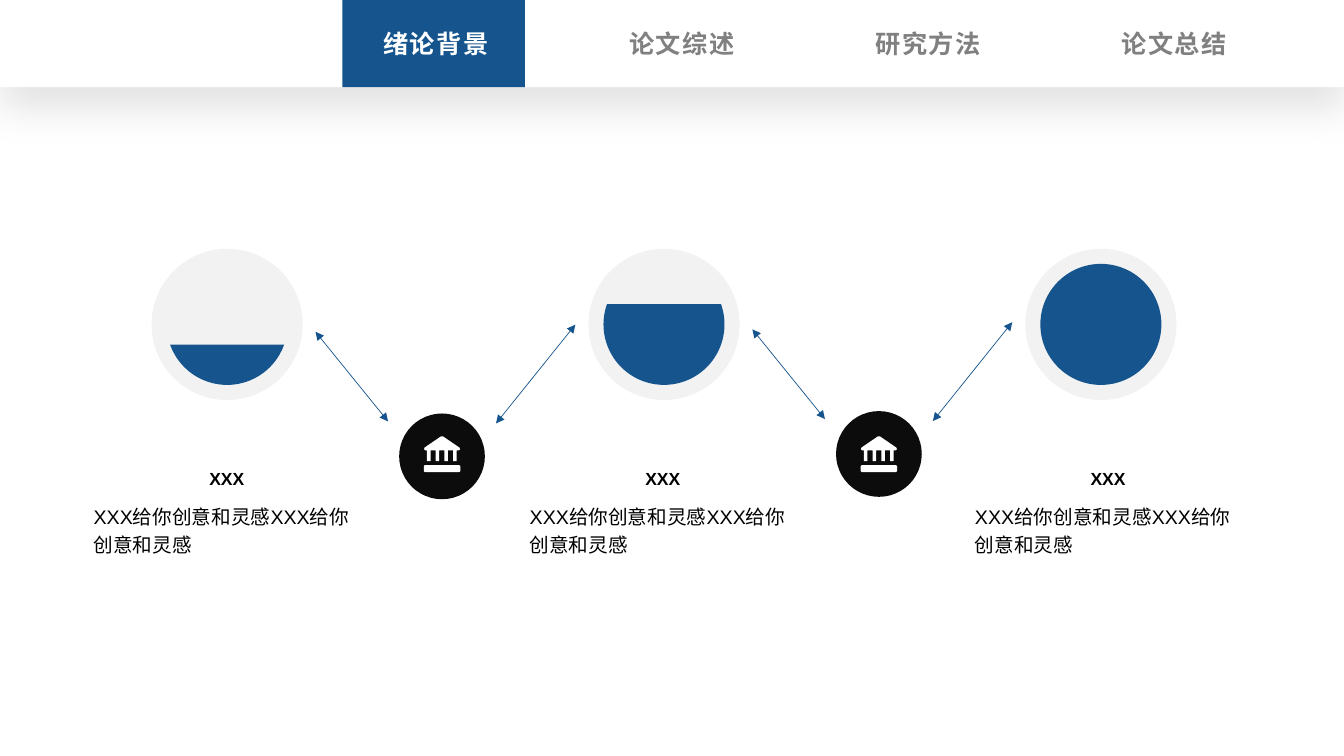
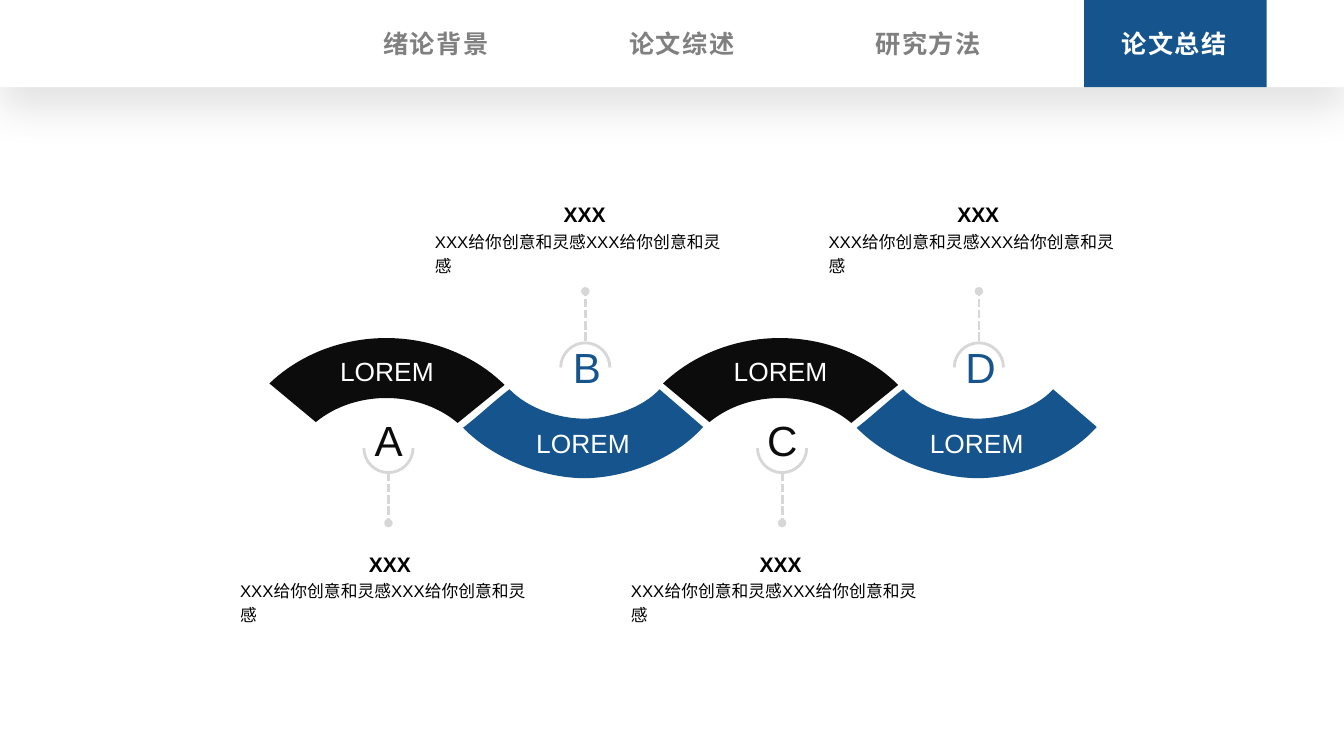
from math import asin, degrees

from lxml.etree import SubElement
from pptx import Presentation
from pptx.dml.color import RGBColor
from pptx.enum.dml import MSO_LINE
from pptx.enum.shapes import MSO_CONNECTOR, MSO_SHAPE
from pptx.enum.text import MSO_ANCHOR, MSO_AUTO_SIZE, PP_ALIGN
from pptx.oxml.ns import qn
from pptx.util import Cm, Pt

BLUE = RGBColor(0x15, 0x54, 0x8D)
INK = RGBColor(0x0C, 0x0C, 0x0C)
BLACK = RGBColor(0, 0, 0)
WHITE = RGBColor(0xFF, 0xFF, 0xFF)
PALE = RGBColor(0xF2, 0xF2, 0xF2)
SILVER = RGBColor(0xD7, 0xD7, 0xD7)
GREY = RGBColor(0x80, 0x80, 0x80)

FONT = "Arial"
WIDTH, HEIGHT, BAR_HEIGHT = 33.87, 19.05, 2.2
SECTIONS = ["绪论背景", "论文综述", "研究方法", "论文总结"]
HEADING = "XXX"
BODY = "XXX给你创意和灵感XXX给你创意和灵感"

GAUGE_LEVELS = [1 / 3, 2 / 3, 1]
GAUGE_PITCH = 11.01
GAUGE_CAPTION_LEFTS = [2.11, 13.1, 24.32]

WAVE_LETTERS = "ABCD"
WAVE_PITCH = 4.96
WAVE_CAPTION_LEFTS = [5.8, 10.71, 15.65, 20.63]
ANGLE_UNIT = 0.6


def format_text(p, size, color, bold=False, align=PP_ALIGN.CENTER, spacing=None):
    p.alignment = align
    p.line_spacing = spacing
    for r in p.runs:
        r.font.name = FONT
        r.font.size = Pt(size)
        r.font.bold = bold
        r.font.color.rgb = color


def add_text(s, text, x, y, w, h, size, color, wrap=True, **style):
    tf = s.shapes.add_textbox(Cm(x), Cm(y), Cm(w), Cm(h)).text_frame
    tf.word_wrap = wrap
    tf.auto_size = MSO_AUTO_SIZE.SHAPE_TO_FIT_TEXT
    tf.text = text
    format_text(tf.paragraphs[0], size, color, **style)
    return tf.paragraphs[0]


def paint(sp, color):
    sp.shadow.inherit = False
    sp.fill.solid()
    sp.fill.fore_color.rgb = color
    sp.line.fill.background()
    return sp


def add_filled(s, kind, x, y, w, h, color, adjustments=()):
    sp = s.shapes.add_shape(kind, Cm(x), Cm(y), Cm(w), Cm(h))
    for i, value in enumerate(adjustments):
        sp.adjustments[i] = value
    return paint(sp, color)


def merge_curves(sp, pieces):
    lines = iter(list(sp._element.iter(qn("a:lnTo"))))
    for piece in pieces:
        first, *rest = [next(lines) for _ in piece]
        if rest:
            curve = first.makeelement(qn("a:cubicBezTo"))
            first.addprevious(curve)
            for line in [first] + rest:
                curve.append(line[0])
                line.getparent().remove(line)


def add_outline(s, contours, x, y, close=True):
    builder = None
    for start, *pieces in contours:
        origin = Cm(x + start[0]), Cm(y + start[1])
        if builder is None:
            builder = s.shapes.build_freeform(*origin)
        else:
            builder.move_to(*origin)
        points = [(Cm(x + dx), Cm(y + dy)) for piece in pieces for dx, dy in piece]
        builder.add_line_segments(points, close=close)
    sp = builder.convert_to_shape()
    merge_curves(sp, [piece for _, *pieces in contours for piece in pieces])
    return sp


def add_line(s, start, end, color, width, head=None, tail=None, dash=None):
    cx = s.shapes.add_connector(MSO_CONNECTOR.STRAIGHT, *map(Cm, start + end))
    cx.line.color.rgb = color
    cx.line.width = Pt(width)
    if dash is not None:
        cx.line.dash_style = dash
    ln = cx.line._get_or_add_ln()
    for tag, kind in (("a:headEnd", head), ("a:tailEnd", tail)):
        if kind:
            SubElement(ln, qn(tag)).set("type", kind)
    SubElement(cx._element.spPr, qn("a:effectLst"))


def add_bar_shadow(sp):
    effects = sp._element.spPr.find(qn("a:effectLst"))
    shadow = SubElement(effects, qn("a:outerShdw"), blurRad=str(Pt(28)),
                        dist=str(Pt(15)), dir="5400000", algn="t", rotWithShape="0")
    color = SubElement(shadow, qn("a:srgbClr"), val="000000")
    SubElement(color, qn("a:alpha"), val="11000")


def add_navigation(s, active):
    bar = add_filled(s, MSO_SHAPE.RECTANGLE, 0, 0, WIDTH, BAR_HEIGHT, WHITE)
    add_bar_shadow(bar)
    add_filled(s, MSO_SHAPE.RECTANGLE, 8.63 + 6.23 * active, 0, 4.6, BAR_HEIGHT, BLUE)
    for i, section in enumerate(SECTIONS):
        p = add_text(s, section, 9.37 + 6.2 * i, 0.58, 3.23, 1.02, 18,
                     WHITE if i == active else GREY, wrap=False, bold=True)
        p.runs[0].font._element.set("spc", "100")


def add_caption(s, x, y, w, h, size, heading_size, heading_height, inset, rise):
    add_text(s, BODY, x, y, w, h, size, BLACK, align=PP_ALIGN.LEFT, spacing=1.2)
    add_text(s, HEADING, x + inset, y - rise, w - 2 * inset, heading_height,
             heading_size, BLACK, bold=True, spacing=1.2)


def add_gauge(s, x, y, level):
    add_filled(s, MSO_SHAPE.OVAL, x, y, 3.81, 3.81, PALE)
    angle = degrees(asin(1 - 2 * level))
    add_filled(s, MSO_SHAPE.CHORD, x + 0.38, y + 0.38, 3.05, 3.05, BLUE,
               [angle % 360 * ANGLE_UNIT, (180 - angle) * ANGLE_UNIT])


def add_bank_icon(s, x, y):
    base = [(0.03, 0.74), [(0.89, 0.74)],
            [(0.91, 0.74), (0.92, 0.75), (0.92, 0.77)], [(0.92, 0.89)],
            [(0.92, 0.91), (0.91, 0.92), (0.89, 0.92)], [(0.03, 0.92)],
            [(0.01, 0.92), (0, 0.91), (0, 0.89)], [(0, 0.77)],
            [(0, 0.75), (0.01, 0.74), (0.03, 0.74)]]
    roof = [(0.43, 0.02), [(0.45, 0), (0.47, 0), (0.49, 0.02)], [(0.9, 0.3)],
            [(0.93, 0.32), (0.92, 0.37), (0.88, 0.37)]]
    for i in reversed(range(4)):
        left = 0.08 + 0.22 * i
        right = left + 0.09
        roof += [[(right, 0.37)], [(right, 0.64)], [(left, 0.64)], [(left, 0.37)]]
    roof += [[(0.04, 0.37)], [(0, 0.37), (0, 0.32), (0.02, 0.3)]]
    paint(add_outline(s, [base, roof], x, y), WHITE)


def add_link(s, dx, dy):
    for start, end in (((7.95, 8.36), (9.78, 10.62)), ((14.5, 8.18), (12.5, 10.67))):
        add_line(s, (start[0] + dx, start[1] + dy), (end[0] + dx, end[1] + dy),
                 BLUE, 0.5, head="triangle", tail="triangle")
    add_filled(s, MSO_SHAPE.OVAL, 10.06 + dx, 10.42 + dy, 2.16, 2.16, INK)
    add_bank_icon(s, 10.68 + dx, 10.98)


def add_bowl(s, cx):
    contour = [(4.95, 0), [(6.05, 0.95)],
               [(5.31, 1.78), (4.06, 2.24), (3.05, 2.24)],
               [(2.06, 2.24), (0.79, 1.78), (0, 0.97)],
               [(0.43, 0.64), (0.74, 0.33), (1.17, 0)],
               [(1.63, 0.48), (2.41, 0.74), (3.05, 0.74)],
               [(3.68, 0.74), (4.52, 0.48), (4.95, 0)]]
    return paint(add_outline(s, [contour], cx - 3.08, 9.81), BLUE)


def add_arch(s, cx):
    return add_filled(s, MSO_SHAPE.BLOCK_ARC, cx - 4.08, 8.52, 8.05, 7.19, INK,
                      [219.78 * ANGLE_UNIT, 321 * ANGLE_UNIT, 0.21])


def add_band_label(sp, top, bottom):
    tf = sp.text_frame
    tf.margin_left = tf.margin_right = 0
    tf.margin_top, tf.margin_bottom = Cm(top), Cm(bottom)
    tf.vertical_anchor = MSO_ANCHOR.MIDDLE
    tf.text = "LOREM"
    format_text(tf.paragraphs[0], 18.8, WHITE)


def add_cup(s, cx, y, direction):
    radius, pull = 0.62, 0.34
    contour = [(radius, 0),
               [(radius, pull * direction), (pull, radius * direction),
                (0, radius * direction)],
               [(-pull, radius * direction), (-radius, pull * direction), (-radius, 0)]]
    sp = add_outline(s, [contour], cx, y, close=False)
    sp.shadow.inherit = False
    sp.fill.background()
    sp.line.color.rgb = SILVER
    sp.line.width = Pt(2)


def add_wave_part(s, letter, cx, caption_left, is_arch):
    if is_arch:
        add_band_label(add_arch(s, cx), 0, 0.46)
        add_cup(s, cx, 11.29, 1)
        stem, letter_at, color = (11.91, 13.18), (cx - 0.92, 10.57), INK
        caption_top, rise = 14.4, 0.75
    else:
        add_band_label(add_bowl(s, cx), 0.46, 0)
        add_cup(s, cx, 9.26, -1)
        stem, letter_at, color = (8.59, 7.34), (cx - 0.88, 8.73), BLUE
        caption_top, rise = 5.61, 0.79
    add_line(s, (cx, stem[0]), (cx, stem[1]), SILVER, 2,
             tail="oval", dash=MSO_LINE.SQUARE_DOT)
    add_text(s, letter, *letter_at, 1.85, 1.3, 30.1, color, spacing=0.8)
    add_caption(s, caption_left, caption_top, 8.05, 1.5, 12, 15, 0.97, 1.35, rise)


def build_background(s):
    for i, level in enumerate(GAUGE_LEVELS):
        add_gauge(s, 3.82 + GAUGE_PITCH * i, 6.27, level)
    for i in range(len(GAUGE_LEVELS) - 1):
        add_link(s, GAUGE_PITCH * i, -0.06 * i)
    for left in GAUGE_CAPTION_LEFTS:
        add_caption(s, left, 12.48, 7.21, 1.7, 14, 12.5, 0.86, 0.68, 0.92)
    add_navigation(s, 0)


def build_summary(s):
    for i, (letter, left) in enumerate(zip(WAVE_LETTERS, WAVE_CAPTION_LEFTS)):
        add_wave_part(s, letter, 9.79 + WAVE_PITCH * i, left, i % 2 == 0)
    add_navigation(s, 3)


def main():
    prs = Presentation()
    prs.slide_width, prs.slide_height = Cm(WIDTH), Cm(HEIGHT)
    for build in (build_background, build_summary):
        build(prs.slides.add_slide(prs.slide_layouts[6]))
    prs.save("out.pptx")


if __name__ == "__main__":
    main()
